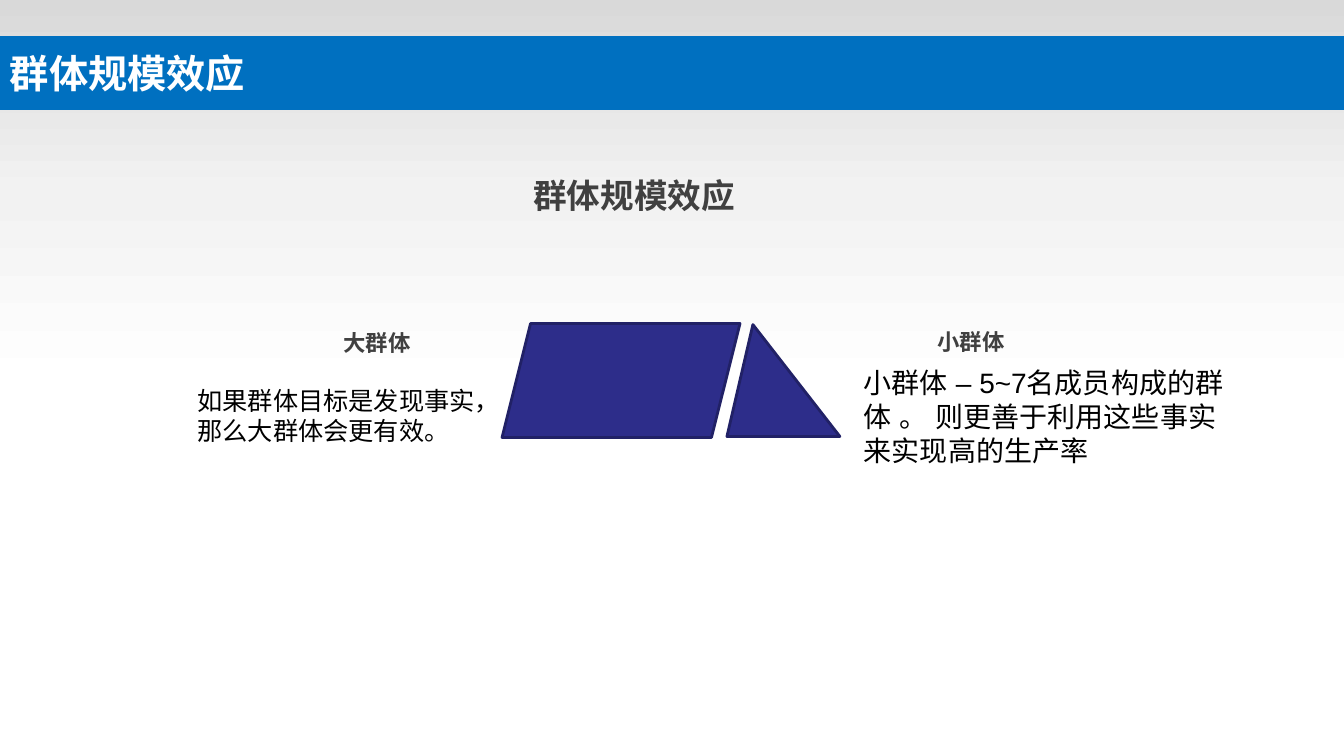
from copy import deepcopy
from pptx import Presentation
from pptx.dml.color import RGBColor as RGB
from pptx.enum.shapes import MSO_SHAPE as Geo
from pptx.enum.text import MSO_ANCHOR as Anchor, PP_ALIGN as Align
from pptx.oxml.ns import qn
from pptx.util import Inches, Pt

COLORS = {
    "white": "FFFFFF", "pale": "F2F2F2", "gray": "D9D9D9", "blue": "0070C0",
    "dark": "404040", "black": "000000", "navy": "2D2D8A", "edge": "212166",
}
SANS, HAN = "Arial", "Noto Sans CJK SC"
TITLE = "群体规模效应"
STOPS = [(0, "gray"), (0.5, "pale"), (1, "white")]
BANDS = [
    ((0, 0, 13.33, 3.83), "white"),
    ((0, 0.76, 13.33, 0.24), "gray"),
    ((0, 0.36, 13.33, 0.73), "blue"),
]
TEXTS = [
    ((5.19, 1.69, 2.22, 0.5), [TITLE], 24, "dark", True, False),
    ((1.86, 3.77, 3.07, 1.01), ["如果群体目标是发现事实，", "那么大群体会更有效。"], 18, "black", False, True),
    ((8.47, 3.58, 3.93, 1.11), ["小群体 – 5~7名成员构成的群体 。 则更善于利用这些事实来实现高的生产率"], 20, "black", False, True),
    ((3.31, 3.22, 1.67, 0.37), ["大群体"], 16, "dark", True, True),
    ((9.2, 3.21, 1, 0.37), ["小群体"], 16, "dark", True, True),
]
FIGURES = [
    (Geo.PARALLELOGRAM, (4.98, 3.21, 2.36, 1.13), 0.25),
    (Geo.ISOSCELES_TRIANGLE, (7.21, 3.22, 1.12, 1.11), 0.23),
]


def tint(name):
    """Return the named colour."""
    return RGB.from_string(COLORS[name])


def draw(shapes, geo, at, fill):
    """Add a flat filled shape without an outline."""
    shape = shapes.add_shape(geo, *map(Inches, at))
    shape.shadow.inherit = False
    shape.fill.solid()
    shape.fill.fore_color.rgb = tint(fill)
    shape.line.fill.background()
    return shape


def fade(shape):
    """Fill a shape with the vertical gradient."""
    fill = shape.fill
    fill.gradient()
    fill.gradient_angle = 270
    stops = shape._element.spPr.find(qn("a:gradFill")).find(qn("a:gsLst"))
    stops.append(deepcopy(stops[-1]))
    for stop, (place, name) in zip(fill.gradient_stops, STOPS):
        stop.position = place
        stop.color.rgb = tint(name)


def write(frame, lines, size, color, bold, face=SANS):
    """Write each line as a left aligned paragraph."""
    for i, line in enumerate(lines):
        para = frame.add_paragraph() if i else frame.paragraphs[0]
        para.alignment = Align.LEFT
        run = para.add_run()
        run.text = line
        font = run.font
        font.size, font.bold, font.name = Pt(size), bold, face
        font.color.rgb = tint(color)
        east = font._element.makeelement(qn("a:ea"), {"typeface": face})
        font._element.find(qn("a:latin")).addnext(east)


def main():
    """Build the slide and save it."""
    deck = Presentation()
    deck.slide_width, deck.slide_height = Inches(13.33), Inches(7.5)
    slide = deck.slides.add_slide(deck.slide_layouts[6])
    shapes = slide.shapes

    back, strip, bar = [draw(shapes, Geo.RECTANGLE, *band) for band in BANDS]
    fade(back)
    bar.text_frame.vertical_anchor = Anchor.MIDDLE
    write(bar.text_frame, [TITLE], 28, "white", True, HAN)

    for at, lines, size, color, bold, wrap in TEXTS:
        frame = shapes.add_textbox(*map(Inches, at)).text_frame
        frame.word_wrap = wrap
        write(frame, lines, size, color, bold)

    group = shapes.add_group_shape()
    for geo, at, ratio in FIGURES:
        figure = draw(group.shapes, geo, at, "navy")
        figure.adjustments[0] = ratio
        figure.line.color.rgb = tint("edge")
        figure.line.width = Pt(2)

    deck.save("out.pptx")


if __name__ == "__main__":
    main()
